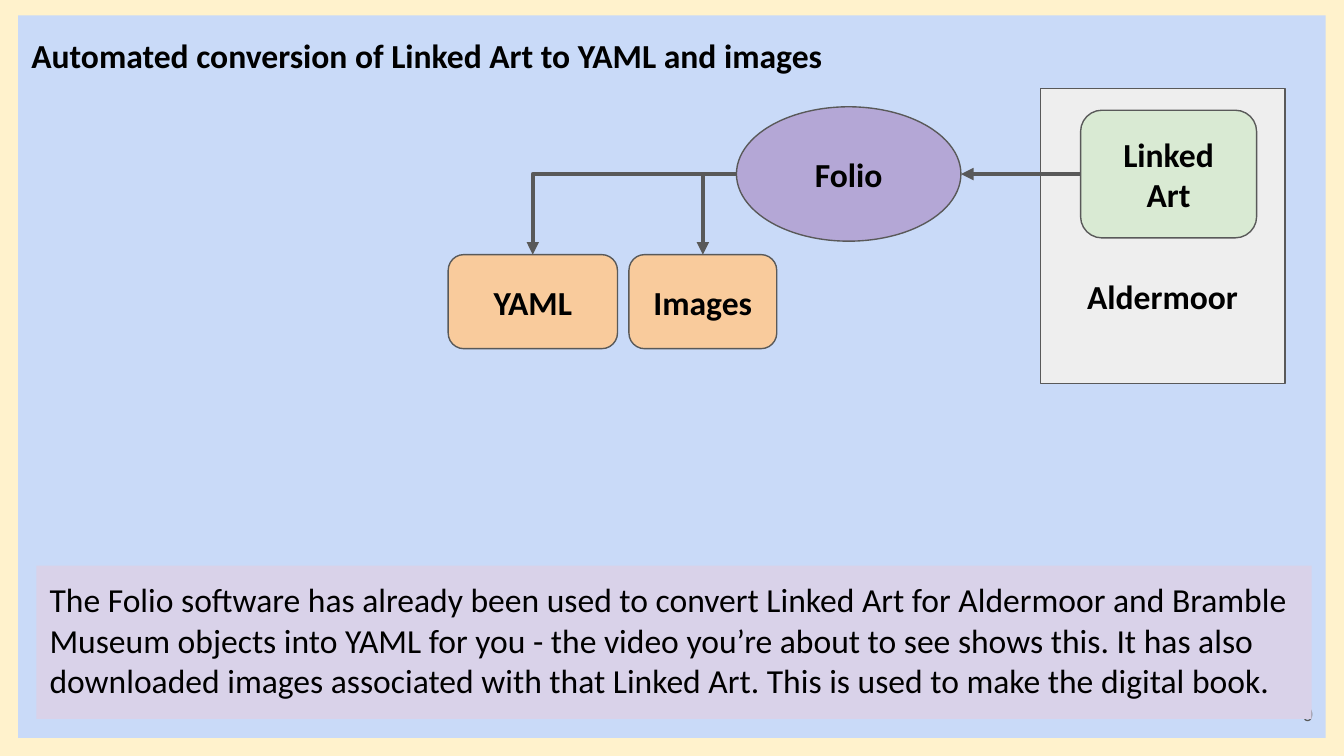
from lxml.etree import SubElement
from pptx import Presentation as Deck
from pptx.dml.color import RGBColor as Rgb
from pptx.enum.shapes import MSO_CONNECTOR as Link, MSO_SHAPE as Form
from pptx.enum.text import MSO_ANCHOR as Anchor, PP_ALIGN as Align
from pptx.oxml.ns import qn
from pptx.util import Inches, Pt

# The grid has square cells: 100 columns by 56.25 rows.
CELL = Inches(0.1)
COLS, ROWS = 100, 56.25
FLOW = 12.95  # row on which the arrows leave
FILES = 18.95  # top row of the output boxes

HUES = {
    "cream": "FFF2CC", "sky": "C9DAF8", "pale": "EEEEEE", "green": "D9EAD3",
    "purple": "B4A7D6", "peach": "F9CB9C", "lilac": "D9D2E9",
    "grey": "595959", "black": "000000",
}

TITLE = "Automated conversion of Linked Art to YAML and images"
NOTE = (
    "The Folio software has already been used to convert Linked Art for "
    "Aldermoor and Bramble Museum objects into YAML for you - the video "
    "you’re about to see shows this. It has also downloaded images associated "
    "with that Linked Art. This is used to make the digital book."
)


def grid(*cells):
    return [round(n * CELL) for n in cells]


def hue(name):
    return Rgb.from_string(HUES[name])


def write(shape, text, bold=True, size=18, face="Calibri", ink="black",
          align=Align.CENTER, anchor=Anchor.MIDDLE, top=1):
    """Fill the shape with one paragraph; top is the upper inset in rows."""
    frame = shape.text_frame
    frame.word_wrap = True
    frame.vertical_anchor = anchor
    frame.margin_left = frame.margin_right = frame.margin_bottom = CELL
    frame.margin_top = grid(top)[0]
    para = frame.paragraphs[0]
    para.text = text
    para.alignment = align
    font = para.font
    font.name, font.size, font.bold = face, Pt(size), bold
    font.color.rgb = hue(ink)
    return para


def block(slide, form, area, fill, edge=True):
    shape = slide.shapes.add_shape(form, *grid(*area))
    shape.shadow.inherit = False
    shape.fill.solid()
    shape.fill.fore_color.rgb = hue(fill)
    if edge:
        shape.line.color.rgb = hue("grey")
        shape.line.width = Pt(0.75)
    else:
        shape.line.fill.background()
    return shape


def panel(slide, area, fill, text, bold):
    shape = block(slide, Form.RECTANGLE, area, fill, edge=False)
    return write(shape, text, bold, align=Align.LEFT, anchor=Anchor.TOP)


def node(slide, form, area, fill, text, top=1):
    write(block(slide, form, area, fill), text, top=top)


def arrow(slide, start, end):
    """Join two points; an arrow that changes row turns one corner."""
    bent = start[1] != end[1]
    kind = Link.ELBOW if bent else Link.STRAIGHT
    link = slide.shapes.add_connector(kind, *grid(*start, *end))
    link.line.color.rgb = hue("grey")
    link.line.width = Pt(2.25)
    props = link.element.spPr
    if bent:
        props.find(qn("a:prstGeom")).set("prst", "bentConnector2")
    SubElement(props.find(qn("a:ln")), qn("a:tailEnd"), type="triangle")
    SubElement(props, qn("a:effectLst"))


def number(slide):
    box = slide.shapes.add_textbox(*grid(92.7, 51, 6, 4.3))
    write(box, "9", False, 10, "Arial", "grey", Align.RIGHT)


def flow(slide):
    node(slide, Form.RECTANGLE, (77.4, 6.6, 18.2, 21.95), "pale", "Aldermoor",
         top=9.95)
    node(slide, Form.ROUNDED_RECTANGLE, (80.4, 8.2, 13.1, 9.5), "green",
         "Linked Art")
    node(slide, Form.OVAL, (54.8, 7.95, 16.7, 10), "purple", "Folio")
    arrow(slide, (80.4, FLOW), (71.5, FLOW))
    for text, left, wide in (("YAML", 33.35, 12.6), ("Images", 46.8, 11)):
        node(slide, Form.ROUNDED_RECTANGLE, (left, FILES, wide, 7), "peach",
             text)
        arrow(slide, (54.8, FLOW), (left + wide / 2, FILES))


def main():
    deck = Deck()
    deck.slide_width, deck.slide_height = grid(COLS, ROWS)
    slide = deck.slides.add_slide(deck.slide_layouts[6])
    back = slide.background.fill
    back.solid()
    back.fore_color.rgb = hue("cream")

    title = panel(slide, (1.35, 1.15, 97.3, 53.75), "sky", TITLE, True)
    title.line_spacing = 1.15
    title.space_after = Pt(12)
    number(slide)
    flow(slide)
    panel(slide, (2.7, 42.1, 94.9, 11.4), "lilac", NOTE, False)
    deck.save("out.pptx")


if __name__ == "__main__":
    main()
